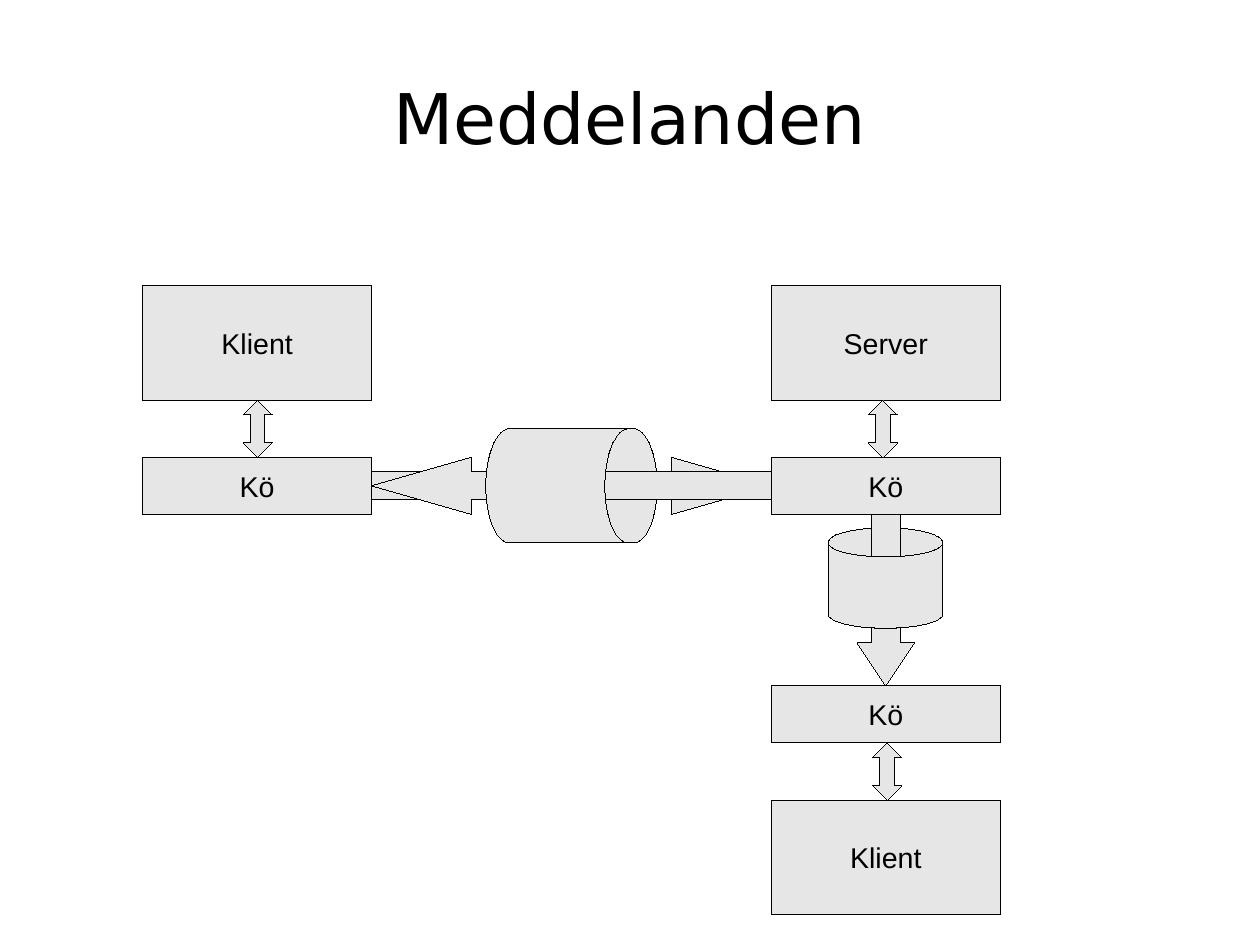
from pptx import Presentation
from pptx.dml.color import RGBColor
from pptx.enum.shapes import MSO_SHAPE
from pptx.enum.text import MSO_ANCHOR, PP_ALIGN
from pptx.util import Pt

PROCESS = MSO_SHAPE.FLOWCHART_PROCESS
STORAGE = MSO_SHAPE.FLOWCHART_STORED_DATA
RIGHT_ARROW = MSO_SHAPE.RIGHT_ARROW
UP_DOWN_ARROW = MSO_SHAPE.UP_DOWN_ARROW
MIDDLE = MSO_ANCHOR.MIDDLE
CENTER = PP_ALIGN.CENTER

BLACK = RGBColor(0x00, 0x00, 0x00)
GREY = RGBColor(0xE6, 0xE6, 0xE6)

# Content and layout, in points
SLIDE_SIZE = (793.7, 595.28)
HAIRLINE = 0.01
TITLE = "Meddelanden"
TITLE_BOX = (39.6, 23.76, 714.24, 99.36)
LEFT, RIGHT = 90, 486
BOX_WIDTH = 144
NODE_HEIGHT, QUEUE_HEIGHT = 72, 36
NODE_TOP, QUEUE_TOP = 180, 288
LOWER_QUEUE_TOP, LOWER_NODE_TOP = 432, 504
CHANNEL_LEFT = LEFT + BOX_WIDTH
CHANNEL = (CHANNEL_LEFT, QUEUE_TOP, RIGHT - CHANNEL_LEFT, QUEUE_HEIGHT)
PIPE_TOP, PIPE_SIZE = 270, (90, 72)
DROP_PIPE_LEFT, DROP_PIPE_SIZE = 530.8, (54, 72)
LINK_SIZE = (18, 36)


def node(text, left, top):
    return {"kind": PROCESS, "box": (left, top, BOX_WIDTH, NODE_HEIGHT), "text": text}


def queue(left, top):
    return {"kind": PROCESS, "box": (left, top, BOX_WIDTH, QUEUE_HEIGHT), "text": "Kö"}


def link(left, top):
    return {"kind": UP_DOWN_ARROW, "box": (left, top, *LINK_SIZE), "adjust": (0.4, 0.5)}


def arrow(box, head, **turn):
    return {"kind": RIGHT_ARROW, "box": box, "adjust": (0.5, head), **turn}


def pipe(left, **turn):
    return {"kind": STORAGE, "box": (left, PIPE_TOP, *PIPE_SIZE), **turn}


def drop_pipe(top, **turn):
    return {"kind": STORAGE, "box": (DROP_PIPE_LEFT, top, *DROP_PIPE_SIZE),
            "rotation": 270, **turn}


# Back pipe end lies under the arrows, front pipe bodies lie over them
BACK_PIPE = pipe(324, flip=True)
DIAGRAM = [
    queue(LEFT, QUEUE_TOP),
    node("Server", RIGHT, NODE_TOP),
    queue(RIGHT, QUEUE_TOP),
    arrow(CHANNEL, 1.75),
    arrow(CHANNEL, 1.75, flip=True),
    node("Klient", RIGHT, LOWER_NODE_TOP),
    queue(RIGHT, LOWER_QUEUE_TOP),
    drop_pipe(323.5, flip=True),
    arrow((504, 360, 108, 36), 0.75, flip=True, rotation=270),
    link(547.2, NODE_TOP + NODE_HEIGHT),
    link(153.4, NODE_TOP + NODE_HEIGHT),
    link(549.8, LOWER_QUEUE_TOP + QUEUE_HEIGHT),
    node("Klient", LEFT, NODE_TOP),
    pipe(306),
    drop_pipe(332.75),
]


def write_text(shape, text, font_format, margins):
    frame = shape.text_frame
    frame.word_wrap = True
    frame.vertical_anchor = MIDDLE
    for side, margin in zip(("left", "top", "right", "bottom"), margins):
        setattr(frame, f"margin_{side}", Pt(margin))
    paragraph = frame.paragraphs[0]
    paragraph.alignment = CENTER
    run = paragraph.add_run()
    run.text = text
    for name, value in font_format.items():
        setattr(run.font, name, value)
    run.font.color.rgb = BLACK


def add_part(slide, kind, box, text=None, adjust=(), flip=False, rotation=0):
    shape = slide.shapes.add_shape(kind, *map(Pt, box))
    shape.shadow.inherit = False
    shape.fill.solid()
    shape.fill.fore_color.rgb = GREY
    shape.line.color.rgb = BLACK
    shape.line.width = Pt(HAIRLINE)
    shape.rotation = rotation
    for index, value in enumerate(adjust):
        shape.adjustments[index] = value
    if flip:
        shape.element.spPr.xfrm.set("flipH", "1")
    if text:
        write_text(shape, text, {"name": "Arial", "size": Pt(18)}, (7.2, 3.6, 7.2, 3.6))


def main():
    presentation = Presentation()
    presentation.slide_width, presentation.slide_height = map(Pt, SLIDE_SIZE)
    slide = presentation.slides.add_slide(presentation.slide_layouts[6])

    # Back pipe, title, then the rest of the diagram
    add_part(slide, **BACK_PIPE)
    title = slide.shapes.add_textbox(*map(Pt, TITLE_BOX))
    write_text(title, TITLE, {"name": "DejaVu Sans", "size": Pt(44)}, (0, 0, 0, 0))
    for part in DIAGRAM:
        add_part(slide, **part)

    presentation.save("out.pptx")


if __name__ == "__main__":
    main()
